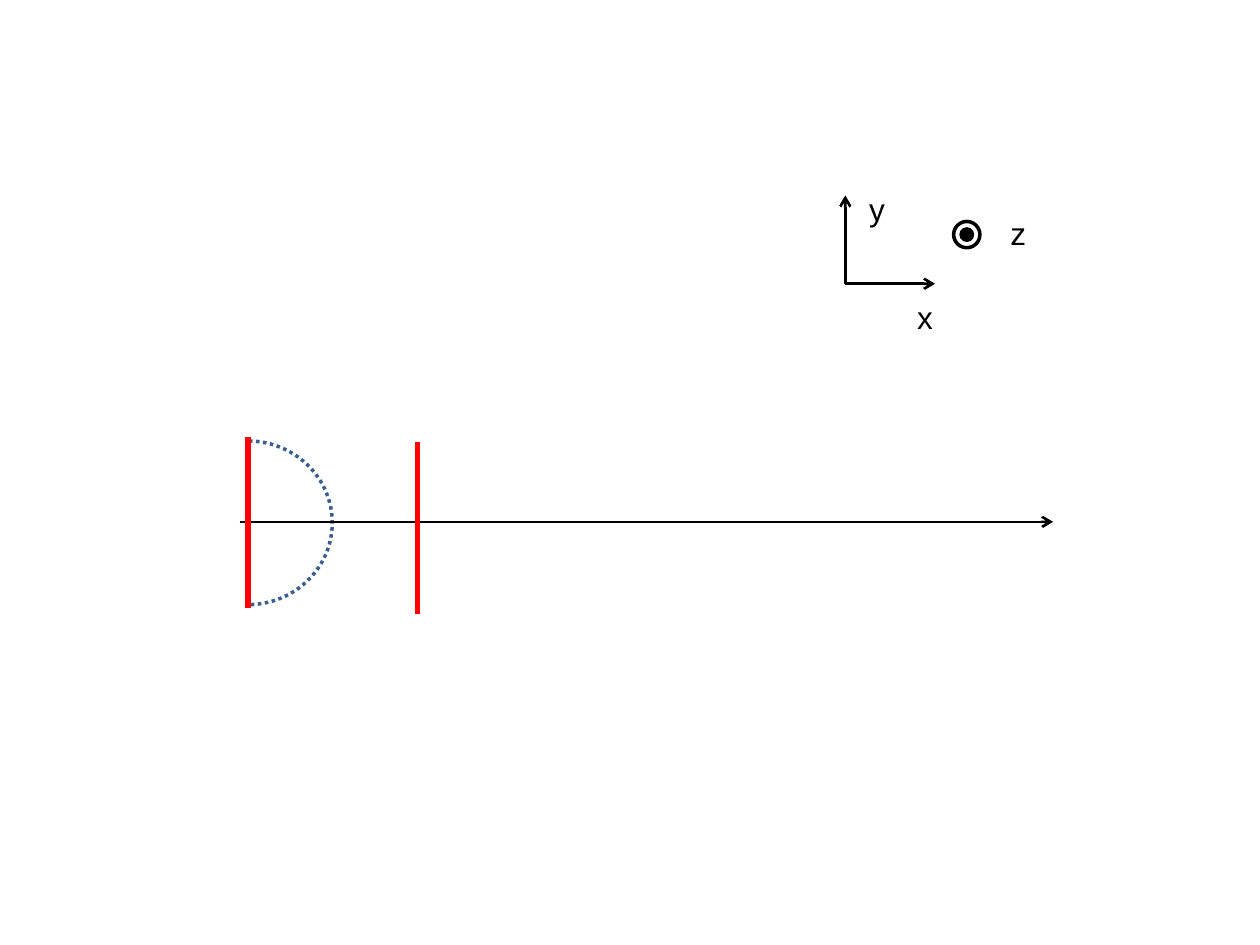
from lxml.etree import SubElement
from pptx import Presentation
from pptx.dml.color import RGBColor
from pptx.enum.dml import MSO_LINE
from pptx.enum.shapes import MSO_CONNECTOR, MSO_SHAPE
from pptx.enum.text import MSO_AUTO_SIZE
from pptx.oxml.ns import qn
from pptx.util import Cm, Pt

BLACK, RED, BLUE = "000000", "FF0000", "3A5F8C"


def color(code):
    return RGBColor.from_string(code)


def write(frame, text, font="Arial", size=18, ink=BLACK):
    run = frame.paragraphs[0].add_run()
    run.text = text
    run.font.name = font
    run.font.size = Pt(size)
    run.font.color.rgb = color(ink)


class Sketch:
    def __init__(self, slide, thin=1.5, thick=3):
        self.slide = slide
        self.thin = thin
        self.thick = thick

    def line(self, start, end, ink=BLACK, width=None):
        link = self.slide.shapes.add_connector(
            MSO_CONNECTOR.STRAIGHT, *map(Cm, start + end))
        link.line.color.rgb = color(ink)
        link.line.width = Pt(width or self.thin)
        SubElement(link._element.spPr, qn("a:effectLst"))
        return link

    def arrow(self, start, end):
        link = self.line(start, end)
        SubElement(link.line._get_or_add_ln(), qn("a:tailEnd"), type="arrow")

    def plate(self, x, top, height=3.45):
        self.line((x, top), (x, top + height), RED, self.thick)

    def shape(self, kind, box, fill=None, ink=None, group=None):
        item = (group or self.slide).shapes.add_shape(kind, *map(Cm, box))
        item.shadow.inherit = False
        if fill:
            item.fill.solid()
            item.fill.fore_color.rgb = color(fill)
        else:
            item.fill.background()
        if ink:
            item.line.color.rgb = color(ink)
            item.line.width = Pt(2)
        else:
            item.line.fill.background()
        return item

    def disc(self, mid, size, group, **style):
        x, y = (c - size / 2 for c in mid)
        self.shape(MSO_SHAPE.OVAL, (x, y, size, size), group=group, **style)

    def label(self, text, x, y):
        frame = self.slide.shapes.add_textbox(
            *map(Cm, (x, y, 0.99, 1.02))).text_frame
        frame.word_wrap = True
        frame.auto_size = MSO_AUTO_SIZE.SHAPE_TO_FIT_TEXT
        write(frame, text)


def main():
    deck = Presentation()
    deck.slide_width, deck.slide_height = Cm(25.4), Cm(19.05)
    slide = deck.slides.add_slide(deck.slide_layouts[6])
    art = Sketch(slide)

    # Dotted half circle, angles in 60000ths of a degree over 100000
    arc = art.shape(MSO_SHAPE.PIE, (3.3, 8.89, 3.4, 3.3), ink=BLUE)
    arc.adjustments[0] = 162.43
    arc.adjustments[1] = 54.23
    arc.line.dash_style = MSO_LINE.ROUND_DOT

    # Main axis
    art.arrow((4.83, 10.52), (21.23, 10.52))

    # Coordinate axes
    base = (17.04, 5.72)
    art.arrow(base, (18.85, 5.72))
    art.arrow(base, (17.04, 3.94))
    art.label("x", 18.24, 5.89)
    art.label("y", 17.27, 3.71)

    # Left plate
    art.plate(5, 8.81)

    # Axis out of the plane
    group = slide.shapes.add_group_shape()
    mid = (19.49, 4.73)
    art.disc(mid, 0.53, group, ink=BLACK)
    art.disc(mid, 0.3, group, fill=BLACK)
    art.label("z", 20.12, 4.19)

    # Right plate
    art.plate(8.41, 8.92)

    deck.save("out.pptx")


if __name__ == "__main__":
    main()
